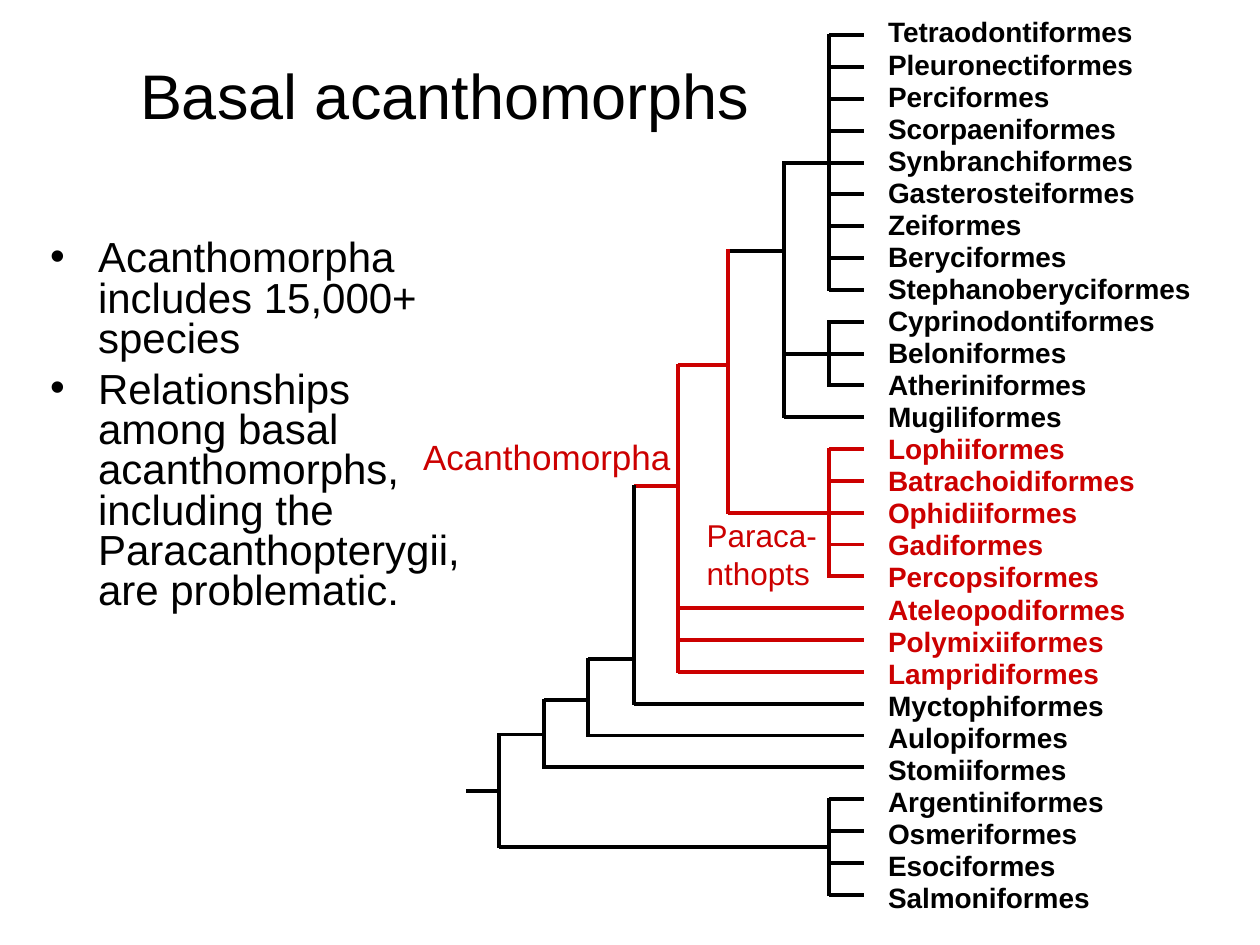
from dataclasses import dataclass

from lxml import etree
from pptx import Presentation
from pptx.dml.color import RGBColor
from pptx.enum import shapes, text
from pptx.oxml.ns import qn
from pptx.util import Inches, Pt


@dataclass(frozen=True)
class Theme:
    font: str = "Arial"
    black: RGBColor = RGBColor(0x00, 0x00, 0x00)
    red: RGBColor = RGBColor(0xCC, 0x00, 0x00)
    title: int = 36
    body: int = 24
    clade: int = 20
    subclade: int = 18
    taxon: int = 16
    line: float = 2.25


T = Theme()

TAXA = """Tetraodontiformes Pleuronectiformes Perciformes Scorpaeniformes
Synbranchiformes Gasterosteiformes Zeiformes Beryciformes Stephanoberyciformes
Cyprinodontiformes Beloniformes Atheriniformes Mugiliformes Lophiiformes
Batrachoidiformes Ophidiiformes Gadiformes Percopsiformes Ateleopodiformes
Polymixiiformes Lampridiformes Myctophiformes Aulopiformes Stomiiformes
Argentiniformes Osmeriformes Esociformes Salmoniformes""".split()
RED_ROWS = range(13, 21)

# Tree columns, in inches from the left edge of the tree
ROOT, BASE, STOMI, AULO, MYCTO, ACANTHO, PARACA, PERCO, CROWN, TIP = (
    0, 0.26, 0.62, 0.97, 1.33, 1.68, 2.08, 2.52, 2.88, 3.16)

# Tips that join the tree left of the crown column: row -> column
TIP_START = {4: PERCO, 10: PERCO, 12: PERCO, 15: PARACA, 18: ACANTHO,
             19: ACANTHO, 20: ACANTHO, 21: MYCTO, 22: AULO, 23: STOMI}

# Vertical nodes: column, first row, last row, colour (rows may be fractional)
NODES = [
    (CROWN, 0, 8, T.black), (CROWN, 9, 11, T.black), (CROWN, 24, 27, T.black),
    (PERCO, 4, 12, T.black), (MYCTO, 14.17, 21, T.black),
    (AULO, 19.6, 22, T.black), (STOMI, 20.9, 23, T.black),
    (BASE, 21.97, 25.5, T.black), (CROWN, 13, 17, T.red),
    (PARACA, 6.77, 15, T.red), (ACANTHO, 10.37, 20, T.red),
]

# Inner horizontal branches: row, from column, to column, colour
STEMS = [
    (6.77, PARACA, PERCO, T.black), (19.6, AULO, MYCTO, T.black),
    (20.9, STOMI, AULO, T.black), (21.97, BASE, STOMI, T.black),
    (23.75, ROOT, BASE, T.black), (25.5, BASE, CROWN, T.black),
    (10.37, ACANTHO, PARACA, T.red), (14.17, MYCTO, ACANTHO, T.red),
]


def add_line(s, x1, y1, x2, y2, color):
    c = s.shapes.add_connector(shapes.MSO_CONNECTOR.STRAIGHT,
                               Inches(x1), Inches(y1), Inches(x2), Inches(y2))
    c.line.color.rgb = color
    c.line.width = Pt(T.line)
    etree.SubElement(c._element.spPr, qn("a:effectLst"))


def add_text(s, box, paragraphs, size, color=T.black, bold=False, wrap=True):
    sp = s.shapes.add_textbox(*map(Inches, box))
    tf = sp.text_frame
    tf.word_wrap = wrap
    for i, line in enumerate(paragraphs):
        p = tf.paragraphs[0] if i == 0 else tf.add_paragraph()
        r = p.add_run()
        r.text = line
        r.font.name = T.font
        r.font.size = Pt(size)
        r.font.bold = bold
        r.font.color.rgb = color
    return tf


def add_title(s, box):
    tf = add_text(s, box, ["Basal acanthomorphs"], T.title)
    tf.vertical_anchor = text.MSO_ANCHOR.MIDDLE
    tf.paragraphs[0].alignment = text.PP_ALIGN.CENTER


def add_bullets(s, box):
    tf = add_text(s, box, [
        "Acanthomorpha includes 15,000+ species",
        "Relationships among basal acanthomorphs, including the "
        "Paracanthopterygii, are problematic.",
    ], T.body)
    for i, p in enumerate(tf.paragraphs):
        pPr = p._p.get_or_add_pPr()
        pPr.set("marL", str(Inches(0.38)))
        pPr.set("indent", str(Inches(-0.38)))
        etree.SubElement(pPr, qn("a:buFont"), typeface=T.font)
        etree.SubElement(pPr, qn("a:buChar"), char="•")
        p.line_spacing = 0.8
        if i:
            p.space_before = Pt(6)


def add_tree(s, box):
    left, top, width, height = box
    label_h = 0.37
    label_step = (height - label_h) / (len(TAXA) - 1)
    tip_top, tip_step = top + 0.21, 6.82 / (len(TAXA) - 1)
    overlap = 0.01  # closes the corners

    def row_y(row):
        return tip_top + row * tip_step

    # Branches
    tips = [(row, TIP_START.get(row, CROWN), TIP,
             T.red if row in RED_ROWS else T.black) for row in range(len(TAXA))]
    for row, x1, x2, color in tips + STEMS:
        add_line(s, left + x1, row_y(row), left + x2, row_y(row), color)
    for x, first, last, color in NODES:
        add_line(s, left + x, row_y(first) - overlap,
                 left + x, row_y(last) + overlap, color)

    # Taxon names
    label_x = 3.25
    for row, name in enumerate(TAXA):
        add_text(s, (left + label_x, top + row * label_step,
                     width - label_x, label_h), [name], T.taxon,
                 T.red if row in RED_ROWS else T.black, bold=True, wrap=False)

    # Clade names
    add_text(s, (left + 1.81, top + 3.98, 1.13, 0.7), ["Paraca-nthopts"],
             T.subclade, T.red)
    add_text(s, (left - 0.44, top + 3.34, 2.3, 0.44), ["Acanthomorpha"],
             T.clade, T.red, wrap=False)


def main():
    prs = Presentation()
    prs.slide_width, prs.slide_height = Inches(10), Inches(7.5)
    s = prs.slides.add_slide(prs.slide_layouts[6])
    add_tree(s, (3.7, 0.07, 5.85, 7.24))
    add_title(s, (0.1, 0.33, 6.86, 0.83))
    add_bullets(s, (0.3, 1.86, 3.51, 5.4))
    prs.save("out.pptx")


if __name__ == "__main__":
    main()
